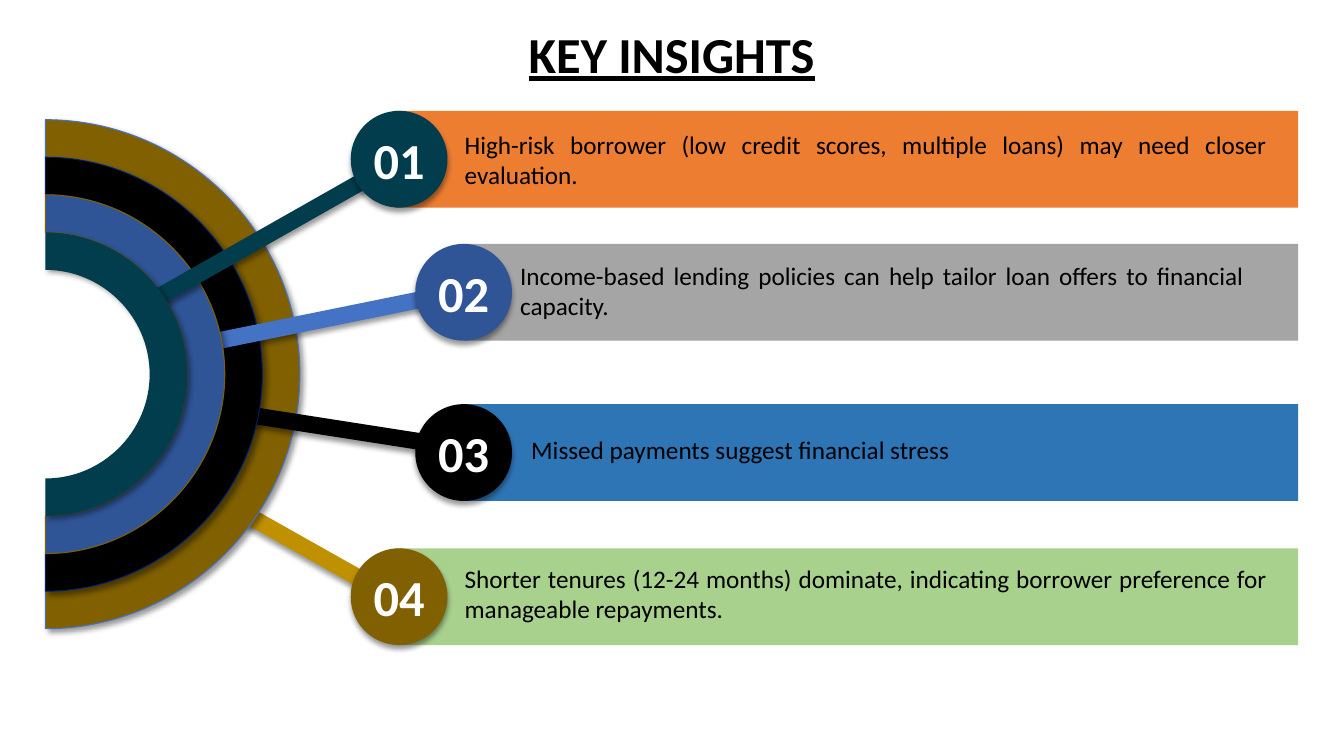
from dataclasses import dataclass

from lxml import etree
from pptx import Presentation
from pptx.dml.color import RGBColor
from pptx.enum.shapes import MSO_CONNECTOR, MSO_SHAPE
from pptx.enum.text import MSO_ANCHOR, MSO_AUTO_SIZE, PP_ALIGN
from pptx.oxml.ns import qn
from pptx.util import Inches, Pt

RECTANGLE, OVAL = MSO_SHAPE.RECTANGLE, MSO_SHAPE.OVAL
STRAIGHT = MSO_CONNECTOR.STRAIGHT
CENTER, JUSTIFY = PP_ALIGN.CENTER, PP_ALIGN.JUSTIFY
TOP, MIDDLE = MSO_ANCHOR.TOP, MSO_ANCHOR.MIDDLE
GROW, FIXED = MSO_AUTO_SIZE.SHAPE_TO_FIT_TEXT, MSO_AUTO_SIZE.NONE

BLACK = RGBColor(0x00, 0x00, 0x00)
WHITE = RGBColor(0xFF, 0xFF, 0xFF)
TEAL = RGBColor(0x01, 0x3D, 0x4D)
NAVY = RGBColor(0x00, 0x20, 0x60)
INDIGO = RGBColor(0x2F, 0x55, 0x97)
BLUE = RGBColor(0x44, 0x72, 0xC4)
SKY = RGBColor(0x2E, 0x75, 0xB6)
OLIVE = RGBColor(0x80, 0x60, 0x00)
GOLD = RGBColor(0xBF, 0x90, 0x00)
ORANGE = RGBColor(0xED, 0x7D, 0x31)
GRAY = RGBColor(0xA5, 0xA5, 0xA5)
GREEN = RGBColor(0xA9, 0xD1, 0x8E)

FONT = "Calibri"
COLUMNS, ROWS = 160, 90
CELL = Inches(1 / 12)
BAR_RIGHT, BAR_HEIGHT = 154.56, 11.52
RING_X, RING_Y = 5.4, 44.55
RING_RADIUS, RING_WIDTH = 30.3, 4.47
ARC_PULL = 0.55
ARC_SEGMENTS = (1, 2, 4, 5)


@dataclass(frozen=True)
class Insight:
    number: str
    text: str
    top: float
    bar_left: float
    badge_left: float
    text_box: tuple[float, float, float, float]
    text_fit: MSO_AUTO_SIZE
    link: tuple[float, float, float, float]
    bar_color: RGBColor
    badge_color: RGBColor
    link_color: RGBColor
    ring_edge: RGBColor | None


INSIGHTS = [
    Insight("01", "High-risk borrower (low credit scores, multiple loans) may need closer evaluation.",
            13.2, 47.04, 41.76, (55.32, 14.76, 95.52, 11.76), GROW,
            (16.44, 36.72, 46.92, 19.44), ORANGE, TEAL, TEAL, None),
    Insight("02", "Income-based lending policies can help tailor loan offers to financial capacity.",
            29.04, 55.32, 49.44, (61.92, 30.36, 86.16, 11.76), GROW,
            (23.64, 41.04, 54.36, 34.8), GRAY, INDIGO, BLUE, OLIVE),
    Insight("03", "Missed payments suggest financial stress",
            48.12, 55.32, 49.44, (63.24, 51.12, 78.24, 4.56), FIXED,
            (26.88, 48.96, 54.6, 53.28), SKY, BLACK, BLACK, NAVY),
    Insight("04", "Shorter tenures (12-24 months) dominate, indicating borrower preference for "
            "manageable repayments.",
            65.28, 47.04, 41.76, (55.32, 66.48, 95.52, 11.76), GROW,
            (26.88, 59.88, 46.68, 71.04), GREEN, OLIVE, GOLD, BLUE),
]


def cells(*counts: float) -> list[int]:
    return [round(count * CELL) for count in counts]


def write_text(shape, text: str, *, size: float, color: RGBColor, align: PP_ALIGN,
               anchor: MSO_ANCHOR = TOP, bold: bool = False, underline: bool = False,
               side_inset: float = 0, fit: MSO_AUTO_SIZE = FIXED,
               line_spacing: float | None = None) -> None:
    frame = shape.text_frame
    frame.word_wrap = True
    frame.auto_size = fit
    frame.vertical_anchor = anchor
    frame.margin_left = frame.margin_right = Inches(side_inset)
    frame.margin_top = frame.margin_bottom = Inches(0.05)
    paragraph = frame.paragraphs[0]
    paragraph.alignment = align
    paragraph.line_spacing = line_spacing
    run = paragraph.add_run()
    run.text = text
    run.font.name = FONT
    run.font.size = Pt(size)
    run.font.bold = bold
    run.font.underline = underline
    run.font.color.rgb = color


def add_shadow(shape, degrees: int) -> None:
    effects = etree.SubElement(shape.element.spPr, qn("a:effectLst"))
    shadow = etree.SubElement(effects, qn("a:outerShdw"), blurRad=str(Pt(4)), dist=str(Pt(3)),
                              dir=str(degrees * 60000), algn="ctr", rotWithShape="0")
    tone = etree.SubElement(shadow, qn("a:srgbClr"), val=str(BLACK))
    etree.SubElement(tone, qn("a:alpha"), val="40000")


def paint(shape, fill: RGBColor, edge: RGBColor | None = None) -> None:
    shape.fill.solid()
    shape.fill.fore_color.rgb = fill
    if edge is None:
        shape.line.fill.background()
    else:
        shape.line.color.rgb = edge
        shape.line.width = Pt(0)


def draw_bar(shapes, insight: Insight) -> None:
    bar = shapes.add_shape(RECTANGLE, *cells(insight.bar_left, insight.top,
                                             BAR_RIGHT - insight.bar_left, BAR_HEIGHT))
    paint(bar, insight.bar_color)
    bar.shadow.inherit = False


def draw_message(shapes, insight: Insight) -> None:
    message = shapes.add_textbox(*cells(*insight.text_box))
    write_text(message, insight.text, size=18, color=BLACK, align=JUSTIFY, fit=insight.text_fit)


def draw_link(shapes, insight: Insight) -> None:
    link = shapes.add_connector(STRAIGHT, *cells(*insight.link))
    link.line.color.rgb = insight.link_color
    link.line.width = Pt(12)
    add_shadow(link, 90)


def draw_badge(shapes, insight: Insight) -> None:
    badge = shapes.add_shape(OVAL, *cells(insight.badge_left, insight.top, BAR_HEIGHT, BAR_HEIGHT))
    paint(badge, insight.badge_color)
    add_shadow(badge, 90)
    write_text(badge, insight.number, size=36, color=WHITE, align=CENTER, anchor=MIDDLE, bold=True)


def half_circle(radius: float) -> list[list[int]]:
    return [cells(RING_X, RING_Y - radius), cells(RING_X + radius, RING_Y),
            cells(RING_X, RING_Y + radius)]


def round_arcs(ring) -> None:
    points = list(ring.element.spPr.iter(qn("a:pt")))
    places = [(int(point.get("x")), int(point.get("y"))) for point in points]
    for index in ARC_SEGMENTS:
        ends = places[index - 1:index + 1]
        corner = (max(ends)[0], min(ends)[1])
        segment = points[index].getparent()
        curve = etree.Element(qn("a:cubicBezTo"))
        for end in ends:
            x, y = (round(a + ARC_PULL * (b - a)) for a, b in zip(end, corner))
            etree.SubElement(curve, qn("a:pt"), x=str(x), y=str(y))
        curve.append(points[index])
        segment.getparent().replace(segment, curve)


def draw_ring(shapes, insight: Insight, outer_radius: float) -> None:
    outline = half_circle(outer_radius) + half_circle(outer_radius - RING_WIDTH)[::-1]
    builder = shapes.build_freeform(*outline[0])
    builder.add_line_segments(outline[1:] + outline[:1], close=True)
    ring = builder.convert_to_shape()
    round_arcs(ring)
    paint(ring, insight.badge_color, insight.ring_edge)
    add_shadow(ring, 45)


def main() -> None:
    presentation = Presentation()
    presentation.slide_width, presentation.slide_height = cells(COLUMNS, ROWS)
    slide = presentation.slides.add_slide(presentation.slide_layouts[5])
    shapes = slide.shapes

    for insight in INSIGHTS:
        draw_bar(shapes, insight)
    for insight in INSIGHTS:
        draw_message(shapes, insight)
    for position, insight in enumerate(reversed(INSIGHTS)):
        draw_link(shapes, insight)
        draw_badge(shapes, insight)
        draw_ring(shapes, insight, RING_RADIUS - position * RING_WIDTH)

    title = shapes.title
    title.left, title.top, title.width, title.height = cells(16.97, 2.34, 126, 8.93)
    write_text(title, "KEY INSIGHTS", size=36, color=BLACK, align=CENTER, anchor=MIDDLE,
               bold=True, underline=True, side_inset=0.1, line_spacing=0.9)
    title.element.getparent().append(title.element)

    presentation.save("out.pptx")


if __name__ == "__main__":
    main()
